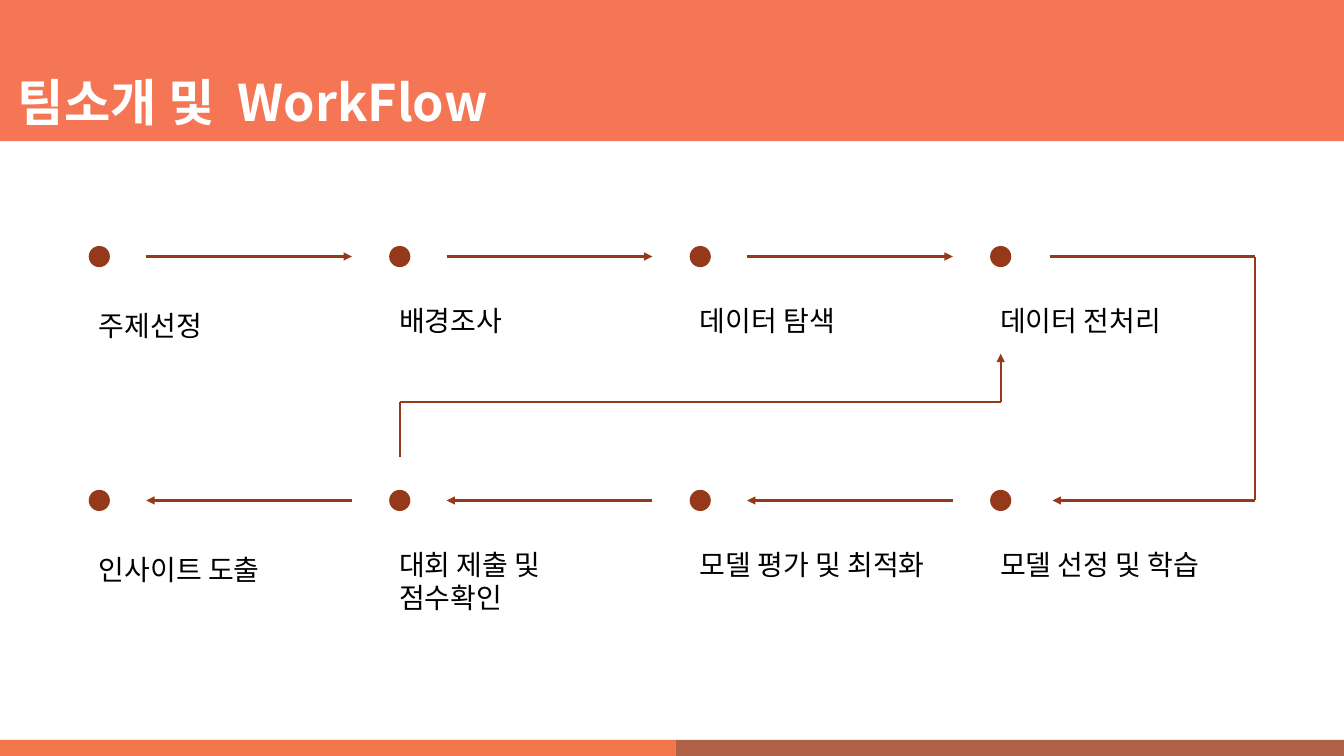
from lxml.etree import SubElement
from pptx import Presentation
from pptx.dml.color import RGBColor
from pptx.enum.shapes import MSO_CONNECTOR as Connector, MSO_SHAPE as Shape
from pptx.oxml.ns import qn
from pptx.util import Inches, Pt

FONT = "Noto Sans CJK KR"
COLORS = {
    "header": "F47655",
    "accent": "96391A",
    "footer": "F27649",
    "footer_pale": "FBE3D6",
    "title": "FFFFFF",
    "label": "000000",
}
STEP_ROWS = [
    ["주제선정", "배경조사", "데이터 탐색", "데이터 전처리"],
    ["인사이트 도출", "대회 제출 및 점수확인", "모델 평가 및 최적화", "모델 선정 및 학습"],
]
COLUMN_PITCH, ROW_PITCH = 2.98, 2.42
DOT = 0.21
ARROW_START, ARROW_END = 0.57, 2.61  # offsets from the left of a column


def color(name):
    return RGBColor.from_string(COLORS[name])


def add_filled(slide, kind, left, top, width, height, fill, alpha=None):
    shape = slide.shapes.add_shape(
        kind, Inches(left), Inches(top), Inches(width), Inches(height))
    shape.shadow.inherit = False
    shape.fill.solid()
    shape.fill.fore_color.rgb = color(fill)
    shape.line.fill.background()
    if alpha is not None:
        rgb = shape.fill._xPr.find(".//" + qn("a:srgbClr"))
        SubElement(rgb, qn("a:alpha")).set("val", str(alpha * 1000))


def add_line(slide, start, end, arrow=False):
    line = slide.shapes.add_connector(
        Connector.STRAIGHT, *[Inches(value) for value in (*start, *end)])
    line.line.color.rgb = color("accent")
    line.line.width = Pt(1.5)
    if arrow:
        SubElement(line.line._get_or_add_ln(), qn("a:tailEnd")).set("type", "triangle")
    SubElement(line._element.spPr, qn("a:effectLst"))


def add_text(slide, left, top, width, height, runs, size, fill, bold=False, inset=0.1):
    """Each run is a pair of text and letter spacing in points."""
    frame = slide.shapes.add_textbox(
        Inches(left), Inches(top), Inches(width), Inches(height)).text_frame
    frame.word_wrap = True
    frame.margin_left = frame.margin_right = Inches(0.1)
    frame.margin_top = frame.margin_bottom = Inches(inset)
    paragraph = frame.paragraphs[0]
    for text, spacing in runs:
        run = paragraph.add_run()
        run.text = text
        run.font.name = FONT
        run.font.size = Pt(size)
        run.font.bold = bold
        run.font.color.rgb = color(fill)
        properties = run.font._element
        SubElement(properties, qn("a:ea")).set("typeface", FONT)
        if spacing:
            properties.set("spc", str(spacing * 100))


def add_header(slide, left, top, width, height):
    add_filled(slide, Shape.RECTANGLE, left, top, width, height, "header")
    title = [("팀소개 및", 0), (" ", 8), ("WorkFlow", 0)]
    add_text(slide, left + 0.08, top + 0.66, 6.83, 0.71, title, 36, "title", True, 0.05)


def add_workflow(slide, left, top):
    # Dots, labels and the arrows between neighbouring steps
    for row, steps in enumerate(STEP_ROWS):
        dot_top = top + row * ROW_PITCH
        middle = dot_top + DOT / 2
        for column, step in enumerate(steps):
            x = left + column * COLUMN_PITCH
            add_filled(slide, Shape.OVAL, x, dot_top, DOT, DOT, "accent")
            label_top = dot_top + (0.52 if column == 0 else 0.47)
            add_text(slide, x, label_top, 2.62, 1.58, [(step, 0)], 20, "label")
            if column < len(steps) - 1:
                ends = [(x + ARROW_START, middle), (x + ARROW_END, middle)]
                if row == 1:
                    ends.reverse()
                add_line(slide, *ends, arrow=True)

    # Turn on the right, from the upper row to the lower one
    last = left + 3 * COLUMN_PITCH
    upper = top + DOT / 2
    lower = upper + ROW_PITCH
    turn = last + 2.63
    add_line(slide, (last + 0.59, upper), (turn, upper))
    add_line(slide, (turn, upper), (turn, lower))
    add_line(slide, (turn, lower), (last + 0.62, lower), arrow=True)

    # Loop back from submission to preprocessing
    loop_start = left + COLUMN_PITCH + DOT / 2
    loop_end = last + DOT / 2
    loop_y = top + 1.55
    add_line(slide, (loop_start, top + 2.09), (loop_start, loop_y))
    add_line(slide, (loop_start, loop_y), (loop_end, loop_y))
    add_line(slide, (loop_end, loop_y), (loop_end, top + 1.07), arrow=True)


def add_footer(slide, left, top, width, height):
    split = 6.7
    right = (left + split, top, width - split, height)
    add_filled(slide, Shape.RECTANGLE, left, top, split, height, "footer")
    add_filled(slide, Shape.RECTANGLE, *right, "footer_pale")
    add_filled(slide, Shape.RECTANGLE, *right, "accent", alpha=76)


def main():
    presentation = Presentation()
    presentation.slide_width = Inches(13.33)
    presentation.slide_height = Inches(7.5)
    slide = presentation.slides.add_slide(presentation.slide_layouts[6])
    add_header(slide, 0, 0, 13.33, 1.4)
    add_workflow(slide, 0.88, 2.44)
    add_footer(slide, 0, 7.34, 13.33, 0.16)
    presentation.save("out.pptx")


if __name__ == "__main__":
    main()
